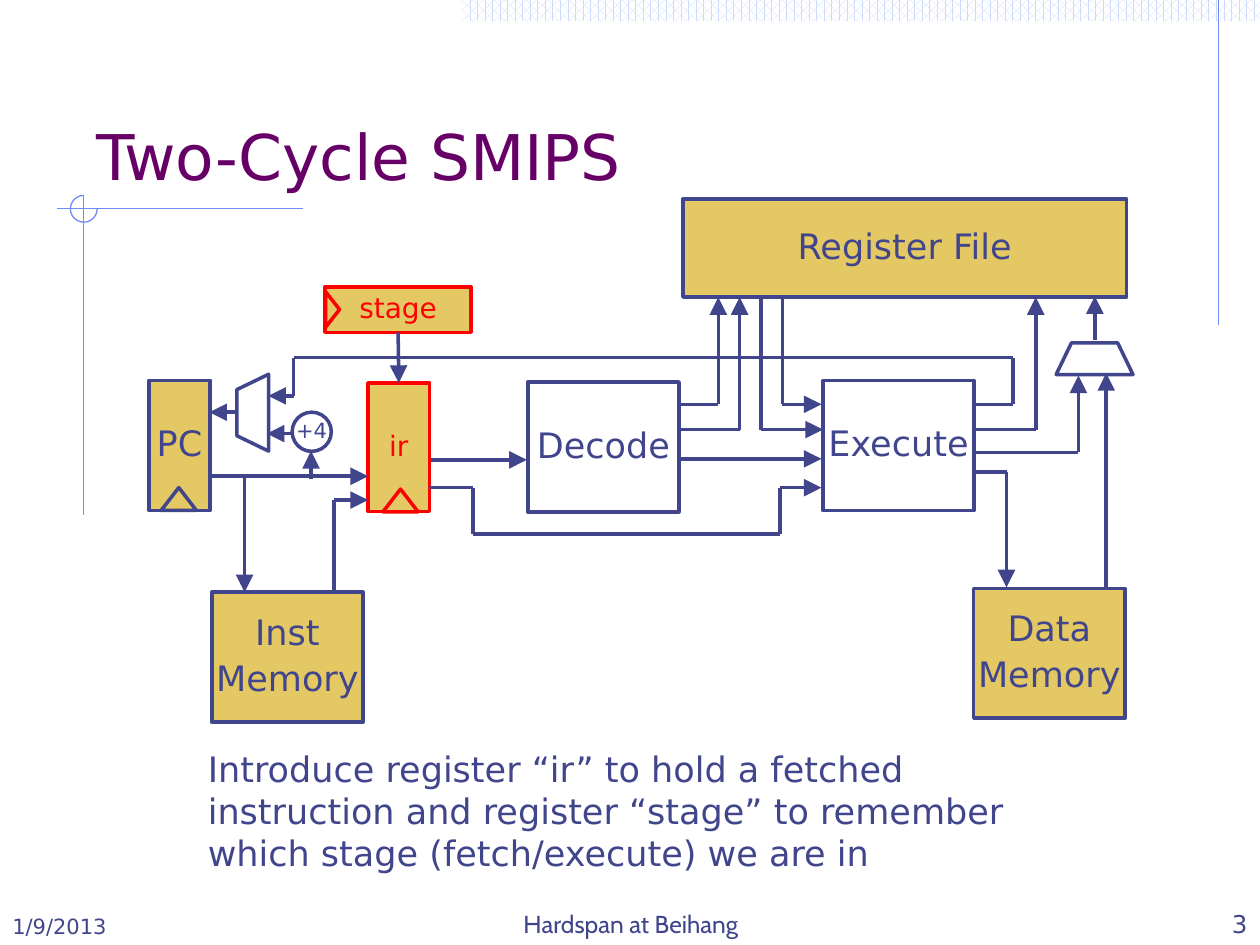
"""Build the Two-Cycle SMIPS datapath slide."""
from itertools import pairwise
from lxml.etree import SubElement
from pptx import Presentation
from pptx.dml.color import RGBColor as Rgb
from pptx.enum.dml import MSO_PATTERN as Pat
from pptx.enum.shapes import MSO_CONNECTOR as Conn, MSO_SHAPE as Kind
from pptx.enum.text import MSO_ANCHOR as Anchor, PP_ALIGN as Align
from pptx.oxml.ns import qn
from pptx.util import Cm, Pt


class Theme:
    ink = Rgb.from_string("40458C")
    gold = Rgb.from_string("E4C864")
    red = Rgb.from_string("FF0000")
    plum = Rgb.from_string("660066")
    sky = Rgb.from_string("6F89F7")
    pale = Rgb.from_string("CFDBFD")
    white = Rgb.from_string("FFFFFF")
    font, alt = "DejaVu Sans", "Cabin"
    title, body, label, foot, small = 36, 20, 16, 14, 12
    thick, thin = 2, 0.75


def draw(kind, box, line, fill=None, turn=0, width=Theme.thick):
    shape = slide.shapes.add_shape(kind, *map(Cm, box))
    shape.shadow.inherit = False
    shape.rotation = turn
    if line is None:
        shape.line.fill.background()
    else:
        shape.line.color.rgb = line
        shape.line.width = Pt(width)
    if fill is None:
        shape.fill.background()
    else:
        shape.fill.solid()
        shape.fill.fore_color.rgb = fill
    return shape


def write(frame, text, size, color, anchor, align, font=Theme.font, wrap=True):
    frame.text = text
    frame.word_wrap = wrap
    frame.vertical_anchor = anchor
    for para in frame.paragraphs:
        para.alignment = align
        para.font.name = font
        para.font.size = Pt(size)
        para.font.color.rgb = color


deck = Presentation()
deck.slide_width, deck.slide_height = Cm(25.4), Cm(19.05)
slide = deck.slides.add_slide(deck.slide_layouts[5])

strip = draw(Kind.RECTANGLE, (9.32, 0, 16.08, 0.43), None)
strip.fill.patterned()
strip.fill.pattern = Pat.PERCENT_60
strip.fill.fore_color.rgb = Theme.pale
strip.fill.back_color.rgb = Theme.white
arc = draw(Kind.ARC, (1.42, 3.94, 0.54, 0.54), Theme.sky, width=Theme.thin)
arc.adjustments[0], arc.adjustments[1] = 0, 162

title = slide.shapes.title
title.left, title.top, title.width, title.height = map(Cm, (1.69, 0.85, 22.86, 3.18))
write(title.text_frame, "Two-Cycle SMIPS", Theme.title, Theme.plum, Anchor.BOTTOM, Align.LEFT)

blocks = [
    ("PC", (3, 7.67, 1.24, 2.62), Theme.gold, Theme.ink, Theme.body),
    ("Inst\nMemory", (4.27, 11.94, 3.05, 2.62), Theme.gold, Theme.ink, Theme.body),
    ("Decode", (10.64, 7.7, 3.05, 2.62), None, Theme.ink, Theme.body),
    ("Register File", (13.77, 4.01, 8.94, 1.98), Theme.gold, Theme.ink, Theme.body),
    ("Execute", (16.59, 7.67, 3.05, 2.62), None, Theme.ink, Theme.body),
    ("Data\nMemory", (19.63, 11.86, 3.05, 2.62), Theme.gold, Theme.ink, Theme.body),
    ("+4", (5.89, 8.31, 0.79, 0.79), None, Theme.ink, Theme.small),
    ("ir", (7.42, 7.72, 1.24, 2.59), Theme.gold, Theme.red, Theme.label),
    ("stage", (6.55, 5.79, 2.95, 0.91), Theme.gold, Theme.red, Theme.label),
]
parts = {}
for name, box, fill, color, size in blocks:
    kind = Kind.OVAL if name == "+4" else Kind.RECTANGLE
    parts[name] = draw(kind, box, color, fill)
    frame = parts[name].text_frame
    write(frame, name, size, color, Anchor.MIDDLE, Align.CENTER, wrap=False)
    for para in frame.paragraphs:
        para.line_spacing = 0.9
    for para in frame.paragraphs[1:]:
        para.space_before = Pt(size / 4)

for box, turn in [((21.29, 6.91, 1.55, 0.64), 180), ((4.32, 8, 1.55, 0.64), 90)]:
    draw(Kind.FLOWCHART_MANUAL_OPERATION, box, Theme.ink, Theme.white, turn)

for box, color, turn in [
    ((3.25, 9.83, 0.71, 0.46), Theme.ink, 0),
    ((7.72, 9.86, 0.71, 0.46), Theme.red, 0),
    ((6.35, 6.1, 0.71, 0.28), Theme.red, 90),
]:
    draw(Kind.ISOSCELES_TRIANGLE, box, color, turn=turn)

rules = [
    [(24.56, 0), (24.56, 6.55)],
    [(6.1, 4.21), (1.15, 4.21)],
    [(1.69, 3.94), (1.69, 10.39)],
]
wires = [
    [(8.66, 9.83), (9.53, 9.83), (9.53, 10.77), (15.72, 10.77), (15.72, 9.83), (16.56, 9.83)],
    [(13.7, 9.25), (16.56, 9.25)],
    [(15.77, 5.99), (15.77, 8.15), (16.56, 8.15)],
    [(15.34, 5.99), (15.34, 8.66), (16.59, 8.66)],
    [(4.24, 9.6), (7.42, 9.6)],
    [(4.93, 9.6), (4.93, 11.94)],
    [(6.73, 11.94), (6.73, 10.08), (7.42, 10.08)],
    [(19.63, 9.51), (20.29, 9.51), (20.29, 11.84)],
    [(13.69, 8.15), (14.48, 8.15), (14.48, 5.99)],
    [(13.69, 8.66), (14.91, 8.66), (14.91, 5.99)],
    [(22.3, 11.84), (22.3, 7.52)],
    [(22.07, 6.86), (22.07, 5.97)],
    [(19.63, 8.66), (20.88, 8.66), (20.88, 5.99)],
    [(19.63, 9.12), (21.74, 9.12), (21.74, 7.57)],
    [(6.27, 9.65), (6.27, 9.09)],
    [(4.78, 8.31), (4.22, 8.31)],
    [(5.89, 8.74), (5.38, 8.74)],
    [(19.63, 8.15), (20.42, 8.15), (20.42, 7.21), (5.92, 7.21), (5.92, 7.98), (5.41, 7.98)],
    [(8.69, 9.27), (10.62, 9.27)],
    [(8.03, 6.7), (8.03, 7.72)],
]
for route in rules + wires:
    plain = route in rules
    for start, end in pairwise(route):
        line = slide.shapes.add_connector(Conn.STRAIGHT, *map(Cm, start + end))
        line.line.color.rgb = Theme.sky if plain else Theme.ink
        line.line.width = Pt(Theme.thin if plain else Theme.thick)
        props = line.element.spPr
        if end == route[-1] and not plain:
            SubElement(props.find(qn("a:ln")), qn("a:tailEnd"), type="triangle", w="lg", len="lg")
        SubElement(props, qn("a:effectLst"))
line.begin_connect(parts["stage"], 2)
line.end_connect(parts["ir"], 0)

note = (
    "Introduce register “ir” to hold a fetched instruction and register “stage” "
    "to remember which stage (fetch/execute) we are in"
)
for text, box, size, anchor, align, font in [
    (note, (3.94, 14.94, 18.26, 2.79), Theme.body, Anchor.TOP, Align.LEFT, Theme.font),
    ("1/9/2013", (0, 17.78, 5.28, 1.27), Theme.small, Anchor.BOTTOM, Align.LEFT, Theme.font),
    ("Hardspan at Beihang", (8.53, 17.78, 8.38, 1.27), Theme.foot, Anchor.BOTTOM, Align.CENTER, Theme.alt),
    ("3", (20.12, 17.78, 5.28, 1.27), Theme.foot, Anchor.BOTTOM, Align.RIGHT, Theme.font),
]:
    area = slide.shapes.add_textbox(*map(Cm, box))
    write(area.text_frame, text, size, Theme.ink, anchor, align, font)

deck.save("out.pptx")
